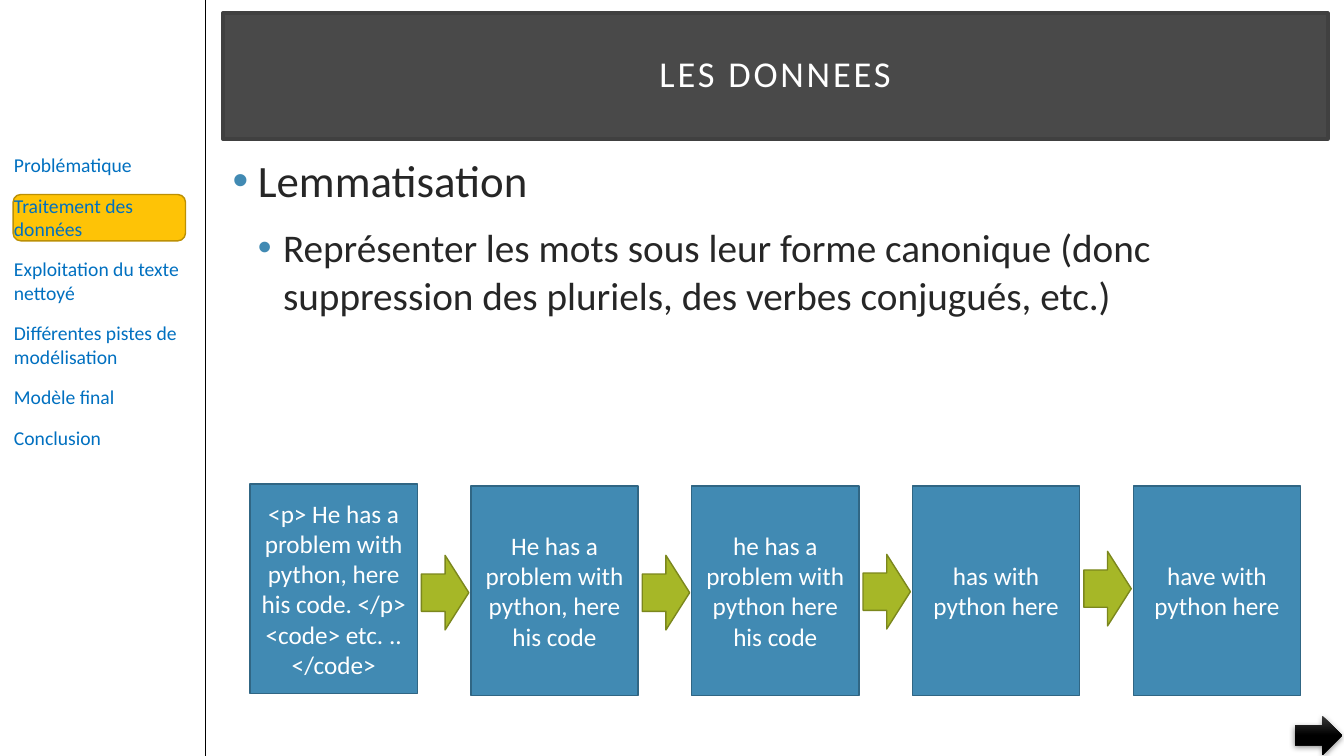
import pptx
import pptx.util
import pptx.dml.color
import pptx.enum.shapes
import pptx.enum.text
import pptx.oxml
import pptx.oxml.ns
import lxml.etree

Inches, Pt = pptx.util.Inches, pptx.util.Pt
RGB = pptx.dml.color.RGBColor.from_string
SHAPE = pptx.enum.shapes.MSO_SHAPE
ALIGN = pptx.enum.text.PP_ALIGN
ANCHOR = pptx.enum.text.MSO_ANCHOR
qn = pptx.oxml.ns.qn

COLORS = {
    "white": "FFFFFF", "black": "000000", "ink": "262626", "menu": "0070C0",
    "banner": "0D0D0D", "banner_line": "404040", "gold": "FEC306", "gold_line": "BC9004",
    "blue": "418AB3", "blue_line": "306684", "green": "A6B727", "green_line": "7B871D",
    "gloss": "393939",
}
WIDTH, HEIGHT = 13.33, 7.5
CONTENT_LEFT, CONTENT_WIDTH = 2.21, 10.96
MENU_TOP = 1.47
STEP_LEFT, STEP_PITCH = 2.48, 2.19
CARD_WIDTH, CARD_HEIGHT = 1.66, 2.08
ARROW_OFFSET, ARROW_WIDTH, ARROW_HEIGHT = 1.7, 0.47, 0.74

presentation = pptx.Presentation()
presentation.slide_width = Inches(WIDTH)
presentation.slide_height = Inches(HEIGHT)
slide = presentation.slides.add_slide(presentation.slide_layouts[5])


def add_box(kind, left, top, width, height, fill, line):
    shape = slide.shapes.add_shape(kind, *map(Inches, (left, top, width, height)))
    shape.shadow.inherit = False
    shape.fill.solid()
    shape.fill.fore_color.rgb = RGB(COLORS[fill])
    shape.line.color.rgb = RGB(COLORS[line])
    shape.line.width = Pt(1)
    return shape


def write(frame, texts, size, color, align=ALIGN.LEFT, space=0):
    frame.word_wrap = True
    for index, text in enumerate(texts):
        paragraph = frame.paragraphs[0] if index == 0 else frame.add_paragraph()
        paragraph.alignment = align
        paragraph.space_before = paragraph.space_after = Pt(space)
        run = paragraph.add_run()
        run.text = text
        run.font.name = "Calibri"
        run.font.size = Pt(size)
        run.font.color.rgb = RGB(COLORS[color])


add_box(SHAPE.ROUNDED_RECTANGLE, 0.13, 1.93, 1.71, 0.46, "gold", "gold_line")

divider = slide.shapes.add_connector(
    pptx.enum.shapes.MSO_CONNECTOR.STRAIGHT, Inches(2.04), 0, Inches(2.04), Inches(HEIGHT))
divider.line.color.rgb = RGB(COLORS["black"])
divider.line.width = Pt(1)
lxml.etree.SubElement(divider._element.spPr, qn("a:effectLst"))

menu = slide.shapes.add_textbox(*map(Inches, (0.04, MENU_TOP, 1.93, 3.13)))
write(menu.text_frame, [
    "Problématique", "Traitement des données", "Exploitation du texte nettoyé",
    "Différentes pistes de modélisation", "Modèle final", "Conclusion",
], 14, "menu", space=6)

title = slide.shapes.title
title.left, title.top, title.width, title.height = map(
    Inches, (CONTENT_LEFT, 0.13, CONTENT_WIDTH, 1.25))
title.fill.solid()
title.fill.fore_color.rgb = RGB(COLORS["banner"])
banner_color = title._element.spPr.find(qn("a:solidFill"))[0]
lxml.etree.SubElement(banner_color, qn("a:alpha")).set("val", "75000")
title.line.color.rgb = RGB(COLORS["banner_line"])
title.line.width = Pt(2.5)
frame = title.text_frame
frame.auto_size = pptx.enum.text.MSO_AUTO_SIZE.NONE
frame.vertical_anchor = ANCHOR.MIDDLE
frame.margin_left = frame.margin_right = frame.margin_top = frame.margin_bottom = Inches(0.2)
write(frame, ["LES DONNEES"], 26, "white", ALIGN.CENTER)
frame.paragraphs[0].line_spacing = 0.9
frame.paragraphs[0].runs[0].font._element.set("spc", "200")

body = slide.shapes.add_textbox(*map(Inches, (CONTENT_LEFT, MENU_TOP, CONTENT_WIDTH, 5.91)))
write(body.text_frame, [
    "Lemmatisation",
    "Représenter les mots sous leur forme canonique "
    "(donc suppression des pluriels, des verbes conjugués, etc.)",
], 32, "ink", space=6)
body.text_frame.paragraphs[1].runs[0].font.size = Pt(28)
for level, paragraph in enumerate(body.text_frame.paragraphs):
    paragraph.level = level
    properties = paragraph._element.get_or_add_pPr()
    properties.set("marL", str(Inches(0.25 * (level + 1))))
    properties.set("indent", str(-Inches(0.25)))
    bullet_color = lxml.etree.SubElement(properties, qn("a:buClr"))
    lxml.etree.SubElement(bullet_color, qn("a:srgbClr")).set("val", COLORS["blue"])
    lxml.etree.SubElement(properties, qn("a:buFont")).set("typeface", "Arial")
    lxml.etree.SubElement(properties, qn("a:buChar")).set("char", "•")

steps = [
    (4.8, ["<p> He has a problem with python, here his code. </p>", "<code> etc. .. </code>"]),
    (4.82, ["He has a problem with python, here his code"]),
    (4.82, ["he has a problem with python here his code"]),
    (4.82, ["has with python here"]),
    (4.82, ["have with python here"]),
]
for column, (top, texts) in enumerate(steps):
    card = add_box(SHAPE.RECTANGLE, STEP_LEFT + column * STEP_PITCH, top,
                   CARD_WIDTH, CARD_HEIGHT, "blue", "blue_line")
    card.text_frame.vertical_anchor = ANCHOR.MIDDLE
    write(card.text_frame, texts, 18, "white", ALIGN.CENTER)

for column, top in enumerate([5.51, 5.51, 5.5, 5.47]):
    add_box(SHAPE.RIGHT_ARROW, STEP_LEFT + ARROW_OFFSET + column * STEP_PITCH, top,
            ARROW_WIDTH, ARROW_HEIGHT, "green", "green_line")

next_arrow = add_box(SHAPE.RIGHT_ARROW, 12.84, 7.1, 0.47, 0.39, "black", "black")
next_arrow.line.fill.background()
next_arrow.fill.gradient()
next_arrow.fill.gradient_angle = 270
for stop, position, color in zip(next_arrow.fill.gradient_stops, (0, 0.5), ("gloss", "black")):
    stop.position = position
    stop.color.rgb = RGB(COLORS[color])
effects = next_arrow._element.spPr.find(qn("a:effectLst"))
shadow = lxml.etree.SubElement(effects, qn("a:outerShdw"), blurRad=str(Pt(4.4)),
                               dist=str(Pt(1.2)), dir="5400000", rotWithShape="0")
shadow_color = lxml.etree.SubElement(shadow, qn("a:srgbClr"), val=COLORS["black"])
lxml.etree.SubElement(shadow_color, qn("a:alpha"), val="45000")

presentation.save("out.pptx")
